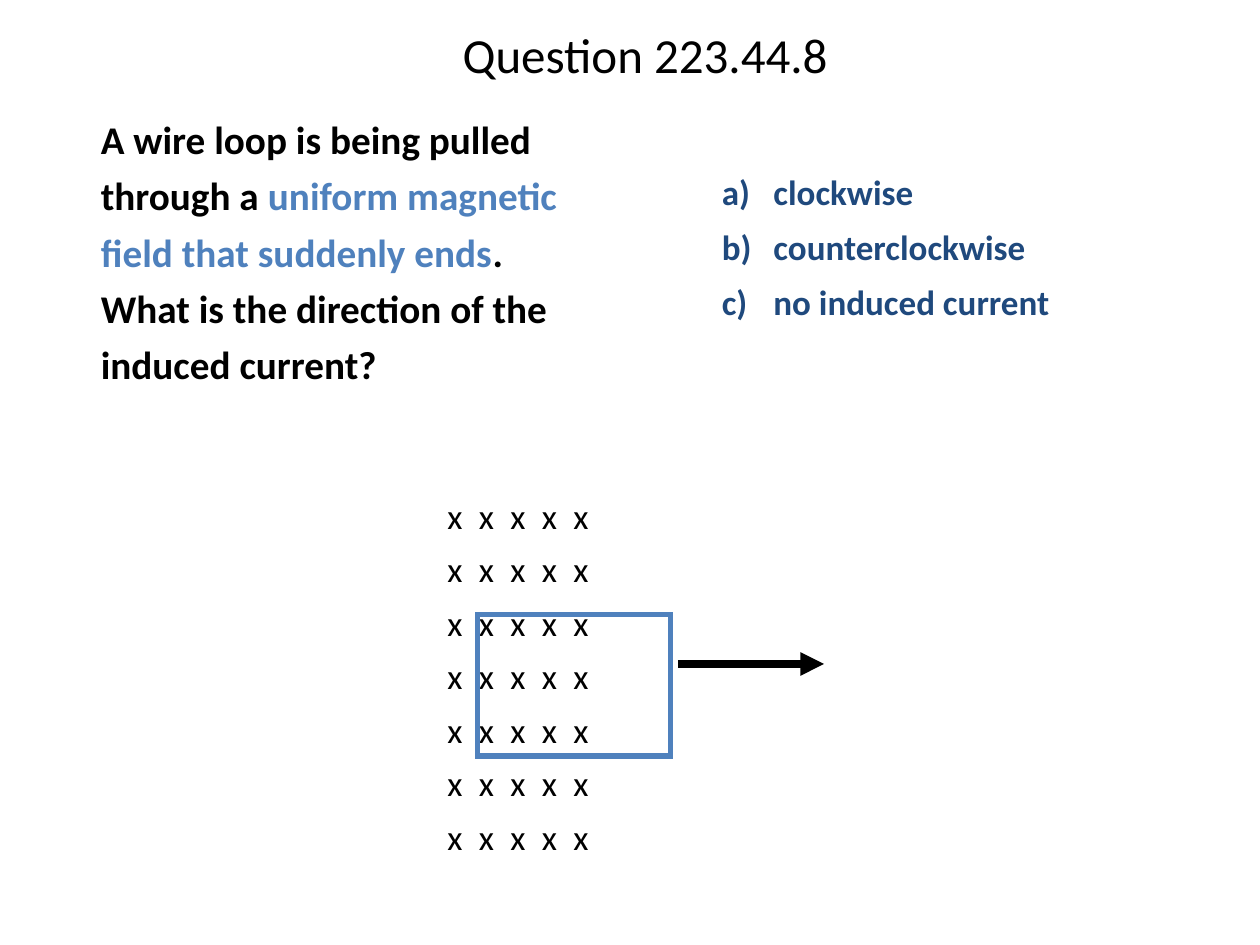
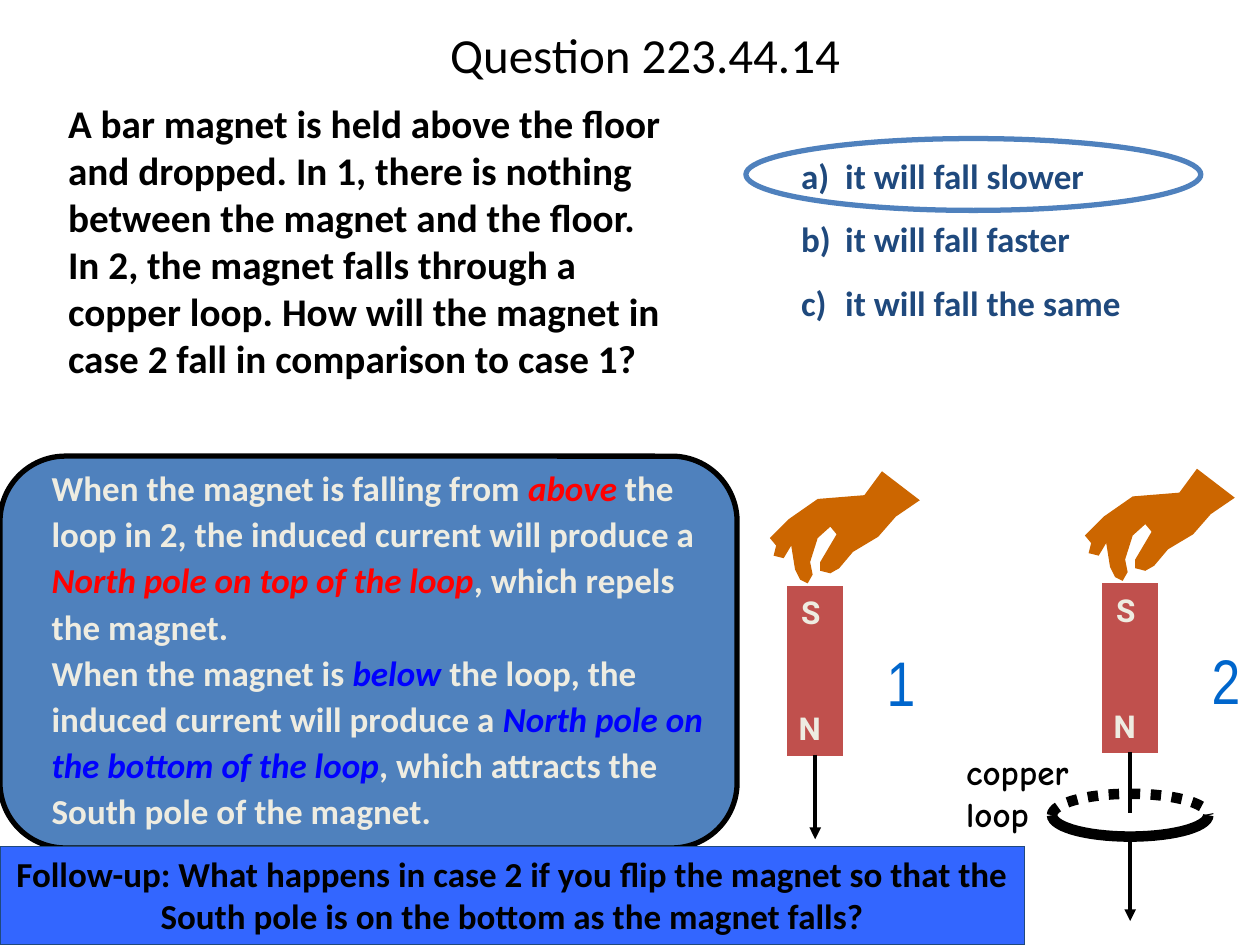
from dataclasses import dataclass, replace
from itertools import chain
from math import cos, pi, sin
from typing import NamedTuple

from lxml import etree
from pptx import Presentation
from pptx.dml.color import RGBColor
from pptx.enum.dml import MSO_LINE
from pptx.enum.shapes import MSO_CONNECTOR, MSO_SHAPE
from pptx.enum.text import MSO_ANCHOR, PP_ALIGN
from pptx.oxml.ns import qn
from pptx.shapes.autoshape import Shape
from pptx.slide import Slide
from pptx.text.text import TextFrame
from pptx.util import Inches, Pt

BLACK = RGBColor(0x00, 0x00, 0x00)
BLUE = RGBColor(0x4F, 0x81, 0xBD)
NAVY = RGBColor(0x1F, 0x49, 0x7D)
CREAM = RGBColor(0xEE, 0xEC, 0xE1)
RED = RGBColor(0xFF, 0x00, 0x00)
PURE_BLUE = RGBColor(0x00, 0x00, 0xFF)
MAGNET_RED = RGBColor(0xC0, 0x50, 0x4D)
HAND_ORANGE = RGBColor(0xCC, 0x66, 0x00)
NUMBER_BLUE = RGBColor(0x00, 0x66, 0xCC)
NUMBER_EDGE = RGBColor(0x99, 0xCC, 0xFF)
BANNER_BLUE = RGBColor(0x33, 0x66, 0xFF)

LEFT, CENTER = PP_ALIGN.LEFT, PP_ALIGN.CENTER
TOP, MIDDLE = MSO_ANCHOR.TOP, MSO_ANCHOR.MIDDLE
RECT, ROUND_RECT, OVAL = MSO_SHAPE.RECTANGLE, MSO_SHAPE.ROUNDED_RECTANGLE, MSO_SHAPE.OVAL
STRAIGHT = MSO_CONNECTOR.STRAIGHT
DOTTED = MSO_LINE.ROUND_DOT


class Point(NamedTuple):
    x: float
    y: float


class Box(NamedTuple):
    left: float
    top: float
    width: float
    height: float

    def emu(self) -> list[int]:
        return [Inches(v) for v in self]


class Run(NamedTuple):
    text: str
    color: RGBColor | None = None
    italic: bool = False


@dataclass(frozen=True)
class TextStyle:
    size: float
    color: RGBColor = BLACK
    font: str = "Calibri"
    bold: bool = True
    line_spacing: float = 1.0
    space_before: float = 0
    align: PP_ALIGN = LEFT
    anchor: MSO_ANCHOR = TOP
    left_inset: float = 0.1
    wrap: bool = True
    tabs: tuple[float, ...] = ()


@dataclass(frozen=True)
class Magnet:
    number: str
    left: float
    top: float
    number_offset: float
    width: float = 0.42
    height: float = 1.33

    @property
    def center(self) -> float:
        return self.left + self.width / 2

    @property
    def bottom(self) -> float:
        return self.top + self.height


@dataclass(frozen=True)
class Loop:
    center: Point
    radius_x: float
    radius_y: float
    steps: int = 30

    def half(self, start_angle: float) -> list[Point]:
        angles = [start_angle + pi * i / self.steps for i in range(self.steps + 1)]
        return [Point(self.center.x + self.radius_x * cos(a),
                      self.center.y + self.radius_y * sin(a)) for a in angles]


FIELD_ROWS, FIELD_COLUMNS, FIELD_PITCH = 7, 5, 0.25
FIELD_TABS = tuple(FIELD_PITCH * i for i in range(1, FIELD_COLUMNS))

TITLE = TextStyle(28, bold=False, line_spacing=0.9, align=CENTER, anchor=MIDDLE)
QUESTION = TextStyle(22.4, left_inset=0.54)
OPTIONS = TextStyle(20, NAVY, space_before=10)
FIELD = TextStyle(20, bold=False, line_spacing=0.9, space_before=9, left_inset=0.11,
                  tabs=FIELD_TABS)
EXPLANATION = TextStyle(20, CREAM, line_spacing=1.1, left_inset=0.41)
FOLLOW_UP = TextStyle(20, align=CENTER)
POLE = TextStyle(18, CREAM, "Roboto", wrap=False)
LOOP_LABEL = TextStyle(20, font="Comic Neue", wrap=False)
NUMBER = TextStyle(36, NUMBER_BLUE, "Arial Narrow", bold=False, align=CENTER, wrap=False)

FREE_MAGNET = Magnet("1", 6.26, 4.66, 0.68)
LOOP_MAGNET = Magnet("2", 8.76, 4.64, 0.76)
COPPER_LOOP = Loop(Point(LOOP_MAGNET.center, 6.47), 0.62, 0.17)
FALL_LENGTH = 0.67

HAND_OFFSET = Point(-0.15, -0.92)
HAND_PARTS = {
    "thumb": [(0.34, 0.82), (0.32, 0.72), (0.38, 0.53), (0.48, 0.44)],
    "index finger": [(0.53, 0.5), (0.4, 0.72), (0.4, 0.79), (0.48, 0.81), (0.55, 0.77)],
    "palm": [(0.66, 0.64), (0.86, 0.52), (1, 0.36)],
    "wrist": [(1.19, 0.23), (0.89, 0), (0.75, 0.19)],
    "back": [(0.38, 0.22), (0.15, 0.38), (0, 0.53)],
    "folded finger": [(0.05, 0.59), (0.03, 0.67), (0.11, 0.69), (0.17, 0.59)],
    "thumb tip": [(0.2, 0.78), (0.24, 0.86), (0.3, 0.89)],
}


def write(tf: TextFrame, paragraphs: list[list[Run]], style: TextStyle) -> None:
    tf.word_wrap = style.wrap
    tf.vertical_anchor = style.anchor
    tf.margin_left = Inches(style.left_inset)
    for i, runs in enumerate(paragraphs):
        p = tf.add_paragraph() if i else tf.paragraphs[0]
        p.alignment = style.align
        p.line_spacing = style.line_spacing
        p.space_before = Pt(style.space_before if i else 0)
        if style.tabs:
            tab_list = etree.SubElement(p._p.get_or_add_pPr(), qn("a:tabLst"))
            for stop in style.tabs:
                etree.SubElement(tab_list, qn("a:tab"), pos=str(Inches(stop)), algn="l")
        for run in runs:
            r = p.add_run()
            r.text = run.text
            r.font.name = style.font
            r.font.size = Pt(style.size)
            r.font.bold = style.bold
            r.font.italic = run.italic
            r.font.color.rgb = run.color or style.color


def add_text(slide: Slide, box: Box, paragraphs: list[list[Run]], style: TextStyle) -> Shape:
    sp = slide.shapes.add_textbox(*box.emu())
    write(sp.text_frame, paragraphs, style)
    return sp


def paint(sp: Shape, fill: RGBColor | None, line: RGBColor | None, width: float) -> None:
    sp.shadow.inherit = False
    if fill is None:
        sp.fill.background()
    else:
        sp.fill.solid()
        sp.fill.fore_color.rgb = fill
    if line is None:
        sp.line.fill.background()
    else:
        sp.line.color.rgb = line
        sp.line.width = Pt(width)
        etree.SubElement(sp.element.spPr.find(qn("a:ln")), qn("a:miter"), lim="800000")


def add_shape(slide: Slide, kind: MSO_SHAPE, box: Box, fill: RGBColor | None,
              line: RGBColor | None, width: float) -> Shape:
    sp = slide.shapes.add_shape(kind, *box.emu())
    paint(sp, fill, line, width)
    return sp


def add_outline(slide: Slide, points: list[Point], fill: RGBColor | None = None,
                line: RGBColor | None = None, width: float = 0) -> Shape:
    start, *rest = [(Inches(x), Inches(y)) for x, y in points]
    builder = slide.shapes.build_freeform(*start)
    builder.add_line_segments(rest, close=fill is not None)
    sp = builder.convert_to_shape()
    paint(sp, fill, line, width)
    return sp


def add_line(slide: Slide, start: Point, length: float, width: float,
             vertical: bool = True, arrow: bool = True) -> None:
    end = Point(start.x, start.y + length) if vertical else Point(start.x + length, start.y)
    line = slide.shapes.add_connector(STRAIGHT, *[Inches(v) for v in (*start, *end)])
    line.line.color.rgb = BLACK
    line.line.width = Pt(width)
    properties = line.element.spPr
    if arrow:
        etree.SubElement(properties.find(qn("a:ln")), qn("a:tailEnd"), type="triangle")
    etree.SubElement(properties, qn("a:effectLst"))


def add_title(slide: Slide, number: str) -> None:
    add_text(slide, Box(0.72, 0, 8.8, 0.92), [[Run(f"Question {number}")]], TITLE)


def add_options(slide: Slide, box: Box, answers: list[str], line_spacing: float,
                tab: float) -> None:
    style = replace(OPTIONS, line_spacing=line_spacing, tabs=(tab,))
    add_text(slide, box, [[Run(f"{letter})\t{a}")] for letter, a in zip("abc", answers)], style)


def add_hand(slide: Slide, magnet: Magnet) -> None:
    left, top = magnet.left + HAND_OFFSET.x, magnet.top + HAND_OFFSET.y
    contour = chain.from_iterable(HAND_PARTS.values())
    add_outline(slide, [Point(left + x, top + y) for x, y in contour], fill=HAND_ORANGE)


def add_number(slide: Slide, magnet: Magnet) -> None:
    box = Box(magnet.center + magnet.number_offset - 0.27, magnet.top + 0.4, 0.54, 0.62)
    sp = add_text(slide, box, [[Run(magnet.number)]], NUMBER)
    edge = etree.Element(qn("a:ln"), w=str(Pt(1.5)))
    fill = etree.SubElement(edge, qn("a:solidFill"))
    etree.SubElement(fill, qn("a:srgbClr"), val=str(NUMBER_EDGE))
    r = sp.text_frame.paragraphs[0].runs[0]
    r._r.get_or_add_rPr().insert(0, edge)


def add_magnet(slide: Slide, magnet: Magnet) -> None:
    body = Box(magnet.left, magnet.top, magnet.width, magnet.height)
    add_shape(slide, RECT, body, MAGNET_RED, MAGNET_RED, 1.5)
    for pole, left, top in (("N", magnet.left - 0.02, magnet.bottom - 0.41),
                            ("S", magnet.left, magnet.top)):
        add_text(slide, Box(left, top, 0.44, 0.5), [[Run(pole)]], POLE)
    add_hand(slide, magnet)
    add_number(slide, magnet)


def add_copper_loop(slide: Slide) -> None:
    back, front = [add_outline(slide, COPPER_LOOP.half(angle), line=BLACK, width=6)
                   for angle in (pi, 0)]
    back.line.dash_style = DOTTED
    add_text(slide, Box(7.57, 5.91, 1.07, 0.77), [[Run("copper")], [Run("loop")]], LOOP_LABEL)


def add_falls(slide: Slide) -> None:
    for magnet, length, arrow in ((FREE_MAGNET, FALL_LENGTH, True), (LOOP_MAGNET, 0.48, False)):
        add_line(slide, Point(magnet.center, magnet.bottom), length, 2.25, arrow=arrow)
    below_loop = COPPER_LOOP.center.y + COPPER_LOOP.radius_y
    add_line(slide, Point(LOOP_MAGNET.center, below_loop), FALL_LENGTH, 2.25)


def build_wire_loop(slide: Slide) -> None:
    add_options(slide, Box(5.63, 1.34, 4.12, 1.34),
                ["clockwise", "counterclockwise", "no induced current"], 0.9, 0.41)
    add_title(slide, "223.44.8")
    add_text(slide, Box(0.26, 0.79, 4.48, 2.63), [[
        Run("A wire loop is being pulled through a "),
        Run("uniform magnetic field that suddenly ends", BLUE),
        Run(". What is the direction of the induced current?"),
    ]], replace(QUESTION, line_spacing=1.2))
    field_row = [Run("\t".join("x" * FIELD_COLUMNS))]
    add_text(slide, Box(3.44, 3.91, 1.57, 3.09), [field_row] * FIELD_ROWS, FIELD)
    add_line(slide, Point(5.38, 5.27), 1.16, 4.5, vertical=False)
    add_shape(slide, RECT, Box(3.79, 4.88, 1.53, 1.12), None, BLUE, 3)


def build_falling_magnet(slide: Slide) -> None:
    add_shape(slide, ROUND_RECT, Box(0, 3.62, 5.85, 3.11), BLUE, BLACK, 3)
    add_text(slide, Box(0, 3.62, 5.85, 3.05), [
        [Run("When the magnet is falling from "), Run("above", RED, True),
         Run(" the loop in 2, the induced current will produce a "),
         Run("North pole on top of the loop", RED, True),
         Run(", which repels the magnet.")],
        [Run("When the magnet is "), Run("below ", PURE_BLUE, True),
         Run("the loop, the induced current will produce a "),
         Run("North pole on the bottom of the loop", PURE_BLUE, True),
         Run(", which attracts the South pole of the magnet.")],
    ], EXPLANATION)
    add_title(slide, "223.44.14")
    add_text(slide, Box(0, 0.74, 5.39, 2.62), [[Run(
        "A bar magnet is held above the floor and dropped. In 1, there is nothing between "
        "the magnet and the floor. In 2, the magnet falls through a copper loop. "
        "How will the magnet in case 2 fall in comparison to case 1?")]], QUESTION)
    add_copper_loop(slide)
    for magnet in (FREE_MAGNET, LOOP_MAGNET):
        add_magnet(slide, magnet)
    add_falls(slide)
    add_shape(slide, OVAL, Box(5.92, 1.1, 3.61, 0.57), None, BLUE, 3)
    add_options(slide, Box(6.26, 1.14, 3.74, 1.53),
                ["it will fall slower", "it will fall faster", "it will fall the same"], 1.1, 0.35)
    banner = add_shape(slide, RECT, Box(0, 6.72, 8.13, 0.78), BANNER_BLUE, NAVY, 0.75)
    write(banner.text_frame, [[Run(
        "Follow-up: What happens in case 2 if you flip the magnet so that the South pole "
        "is on the bottom as the magnet falls?")]], FOLLOW_UP)


def main() -> None:
    prs = Presentation()
    prs.slide_width, prs.slide_height = Inches(10), Inches(7.5)
    for build in (build_wire_loop, build_falling_magnet):
        build(prs.slides.add_slide(prs.slide_layouts[6]))
    prs.save("out.pptx")


if __name__ == "__main__":
    main()
